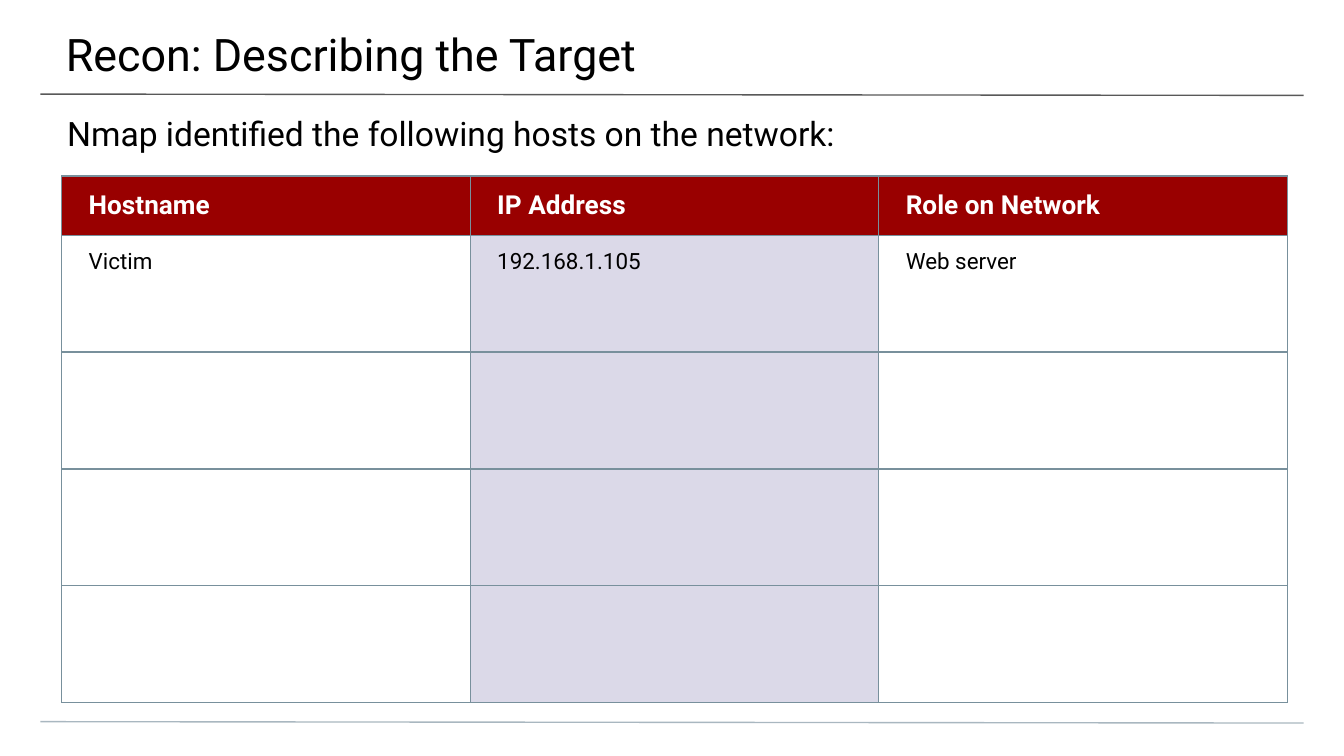
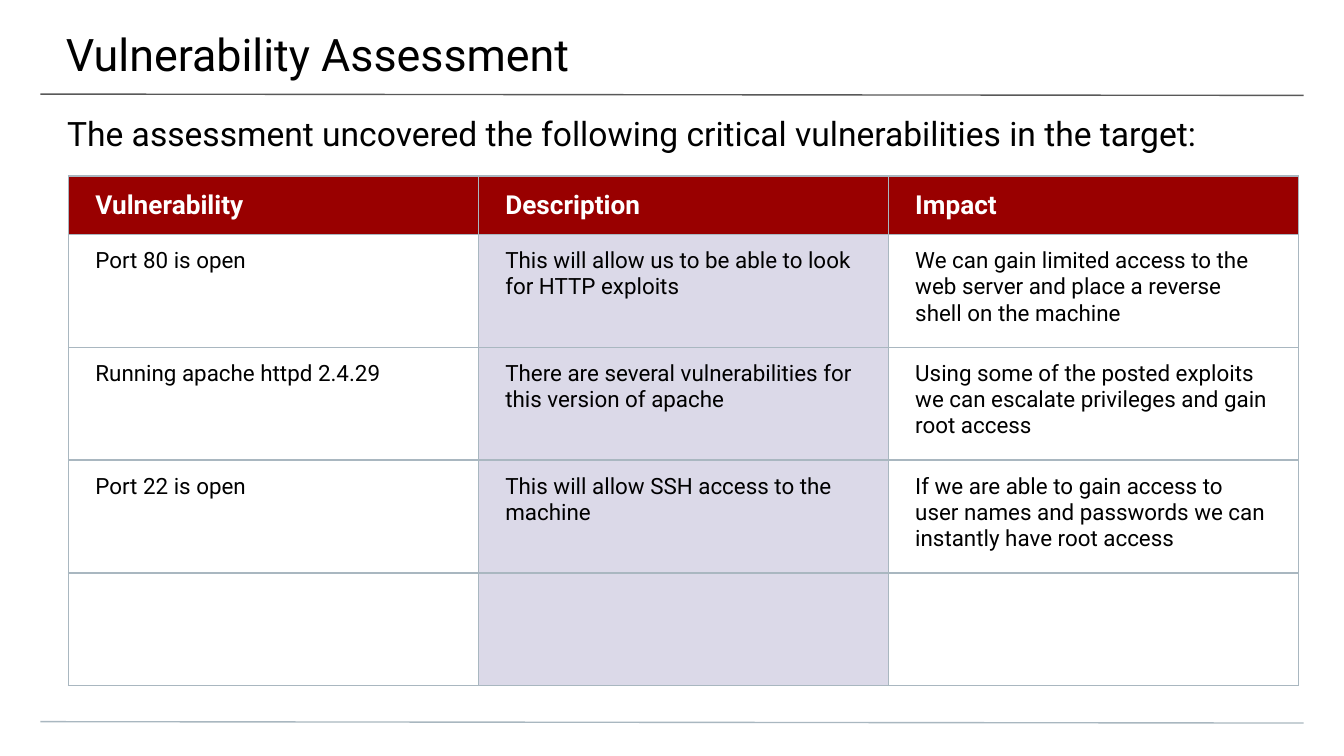
from lxml.etree import SubElement
from pptx import Presentation
from pptx.dml.color import RGBColor
from pptx.enum.shapes import MSO_CONNECTOR as CONNECTOR
from pptx.enum.text import MSO_ANCHOR as ANCHOR
from pptx.oxml.ns import qn
from pptx.util import Inches, Pt

BLACK = RGBColor(0x00, 0x00, 0x00)
WHITE = RGBColor(0xFF, 0xFF, 0xFF)
RED = RGBColor(0x99, 0x00, 0x00)
LILAC = RGBColor(0xDB, 0xD9, 0xE8)
GRAY = RGBColor(0x59, 0x59, 0x59)
SLATE = RGBColor(0x78, 0x90, 0x9C)
MIST = RGBColor(0xA9, 0xB7, 0xC0)


class Deck:
    """Holds the shared style and the slide being built."""

    font = "Roboto"
    line_width = Pt(0.75)

    def __init__(self):
        self.prs = Presentation()
        self.prs.slide_width = Inches(10)
        self.prs.slide_height = Inches(10 * 9 / 16)
        self.s = None

    def slide(self, title, subtitle):
        self.s = self.prs.slides.add_slide(self.prs.slide_layouts[6])
        self.rule(0.7, GRAY)
        self.rule(5.37, MIST)
        self.text(title, (-0.01, 0, 10.03, 0.58), (0.5, 0.2, 0.3, 0.1), 24)
        self.text(subtitle, (0, 0.74, 10, 0.4), (0.5, 0.1, 0.5, 0), 18)

    def rule(self, y, color):
        line = self.s.shapes.add_connector(
            CONNECTOR.STRAIGHT, Inches(0.3), Inches(y), Inches(9.7), Inches(y + 0.01))
        line.line.color.rgb = color
        line.line.width = self.line_width
        SubElement(line._element.spPr, qn("a:effectLst"))

    def style(self, p, size, color=BLACK, bold=False):
        p.font.name = self.font
        p.font.size = Pt(size)
        p.font.color.rgb = color
        p.font.bold = bold

    def set_margins(self, target, margins):
        for side, value in zip(("left", "top", "right", "bottom"), margins):
            setattr(target, f"margin_{side}", Inches(value))

    def text(self, text, box, margins, size):
        sp = self.s.shapes.add_textbox(*map(Inches, box))
        tf = sp.text_frame
        tf.word_wrap = True
        tf.vertical_anchor = ANCHOR.TOP
        self.set_margins(tf, margins)
        tf.text = text
        self.style(tf.paragraphs[0], size)

    def borders(self, cell, color):
        tc_pr = cell._tc.get_or_add_tcPr()
        for side in ("lnL", "lnR", "lnT", "lnB"):
            ln = SubElement(tc_pr, qn(f"a:{side}"), w=str(self.line_width))
            fill = SubElement(ln, qn("a:solidFill"))
            SubElement(fill, qn("a:srgbClr"), val=str(color))

    def table(self, left, col_width, header_height, row_height, border, rows):
        n_rows, n_cols = len(rows), len(rows[0])
        height = header_height + row_height * (n_rows - 1)
        table = self.s.shapes.add_table(
            n_rows, n_cols, Inches(left), Inches(1.31),
            Inches(col_width * n_cols), Inches(height)).table
        table.first_row = table.horz_banding = False
        for col in table.columns:
            col.width = Inches(col_width)
        for i, values in enumerate(rows):
            header = i == 0
            table.rows[i].height = Inches(header_height if header else row_height)
            for j, value in enumerate(values):
                self.cell(table.cell(i, j), value, header, j == 1, border)

    def cell(self, cell, value, header, shaded, border):
        self.borders(cell, border)
        self.set_margins(cell, (0.2, 0.1, 0.2, 0.1))
        cell.vertical_anchor = ANCHOR.MIDDLE if header else ANCHOR.TOP
        if header or shaded:
            cell.fill.solid()
            cell.fill.fore_color.rgb = RED if header else LILAC
        else:
            cell.fill.background()
        cell.text = value
        p = cell.text_frame.paragraphs[0]
        if header:
            self.style(p, 14, WHITE, True)
        else:
            self.style(p, 12)


def main():
    deck = Deck()
    empty = ("", "", "")

    deck.slide("Recon: Describing the Target",
               "Nmap identified the following hosts on the network:")
    deck.table(0.46, 3.04, 0.44, 0.87, SLATE, [
        ("Hostname", "IP Address", "Role on Network"),
        ("Victim", "192.168.1.105", "Web server"),
        empty, empty, empty,
    ])

    deck.slide("Vulnerability Assessment",
               "The assessment uncovered the following critical vulnerabilities in the target:")
    deck.table(0.51, 3.05, 0.43, 0.84, MIST, [
        ("Vulnerability", "Description", "Impact"),
        ("Port 80 is open",
         "This will allow us to be able to look for HTTP exploits",
         "We can gain limited access to the web server and place a reverse shell on the machine"),
        ("Running apache httpd 2.4.29",
         "There are several vulnerabilities for this version of apache",
         "Using some of the posted exploits we can escalate privileges and gain root access"),
        ("Port 22 is open",
         "This will allow SSH access to the machine",
         "If we are able to gain access to user names and passwords "
         "we can instantly have root access"),
        empty,
    ])

    deck.prs.save("out.pptx")


if __name__ == "__main__":
    main()
